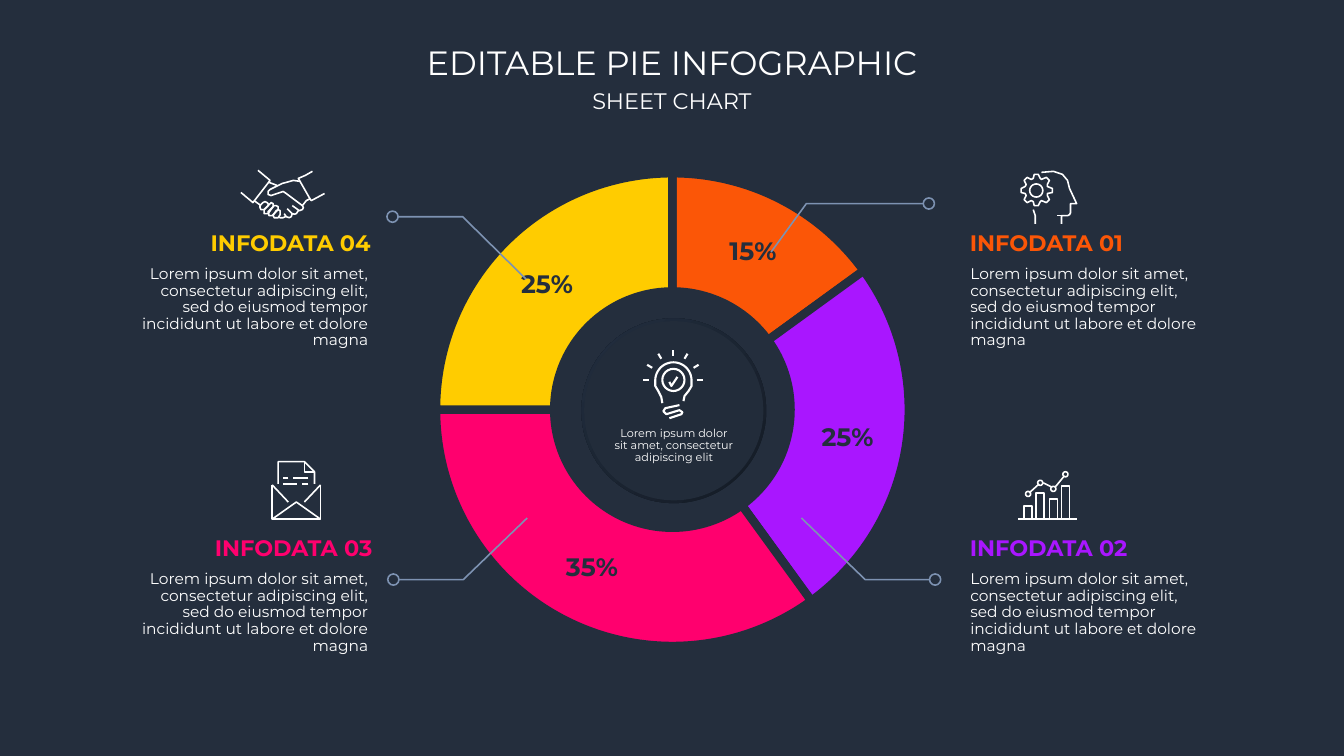
from math import cos, radians, sin

from lxml.etree import SubElement
from pptx import Presentation
from pptx.chart.data import CategoryChartData
from pptx.dml.color import RGBColor
from pptx.enum.chart import XL_CHART_TYPE
from pptx.enum.shapes import MSO_SHAPE
from pptx.enum.text import MSO_ANCHOR, MSO_AUTO_SIZE, PP_ALIGN
from pptx.oxml.ns import qn
from pptx.util import Pt


class Theme:
    font = "Montserrat"
    background, white, callout = "242E3D", "FFFFFF", "7D92B2"
    hub, hub_dark, hub_light = "222C3A", "141B25", "222E3F"
    title, subtitle, heading, body, small, percent = 24, 16, 16, 11, 8, 18
    thin, icon_bold, slice_gap = 1.13, 1.5, 6


def arc(cx, cy, radius, start=0, end=360):
    """Points on a circle, in degrees clockwise from the right."""
    steps = 24
    angles = [radians(start + (end - start) * i / steps) for i in range(steps + 1)]
    return [(cx + radius * cos(a), cy + radius * sin(a)) for a in angles]


def closed(*points):
    return [*points, points[0]]


# Icon strokes are drawn on a grid of ICON_UNIT points.
ICON_UNIT = 0.72
BULB = [
    [(19, 53), (18, 47), (15, 41), (12, 36), *arc(30, 30.5, 18, 180, 360),
     (48, 36), (45, 41), (41, 46), (40, 51)],
    arc(30, 30, 11),
    [(26, 32), (28, 36), (34, 27)],
    [(30, 6), (30, 0)], [(18, 9), (15, 4)], [(4, 15), (9, 18)], [(0, 30), (6, 30)],
    [(44, 4), (41, 9)], [(55, 15), (50, 18)], [(53, 30), (59, 30)],
    [(36, 55), (22, 58), (20, 61), (23, 64), (36, 60), (39, 62), (38, 64), (26, 68)],
]
HEAD = [
    [(20, 6), (32, 5), (41, 8), (46, 14), (48, 22), (55, 37), (49, 37), (49, 46),
     (48, 48), (46, 49), (40, 49), (40, 57)],
    [(14, 57), (14, 49), (12, 43)],
    closed((31, 26), (31, 22), (26, 20), (26, 18), (28, 14), (25, 11), (20, 13), (19, 12),
           (17, 8), (13, 8), (12, 12), (10, 13), (6, 11), (3, 14), (5, 18), (4, 20),
           (0, 22), (0, 26), (4, 27), (5, 29), (3, 33), (6, 36), (10, 34), (12, 35),
           (13, 39), (17, 39), (19, 35), (20, 34), (25, 36), (28, 33), (26, 29), (26, 27)),
    arc(15, 24, 6.5),
    [(40, 49), (36, 49)],
]
GROWTH = [
    [(0, 47), (58, 47)],
    *[closed((x, top), (x, 47), (x + 8, 47), (x + 8, top))
      for x, top in [(6, 34), (18, 21), (31, 27), (43, 14)]],
    *[arc(x, y, 2.5) for x, y in [(10, 22), (22, 11), (35, 17), (47, 2.5)]],
    [(11, 21), (21, 12)], [(25, 11), (33, 15)], [(37, 15), (46, 4)],
]
LETTER = [
    [(48, 23), (48, 57), (0, 57), (0, 23)],
    [(48, 57), (24, 40), (0, 57)],
    [(48, 23), (32, 40)], [(0, 23), (16, 40)],
    [(42, 22), (42, 10), (32, 0), (6, 0), (6, 22)],
    [(32, 0), (32, 10), (42, 10)],
    [(16, 16), (11, 16)], [(36, 16), (21, 16)], [(11, 22), (25, 22)], [(36, 22), (30, 22)],
]
HANDSHAKE = [
    closed((22, 39), (20, 39), (19, 37), (19, 35), (22, 32), (24, 31), (26, 32), (27, 33),
           (27, 35), (23, 39)),
    [(51, 35), (58, 40), (61, 39), (62, 37), (61, 35)],
    [(46, 38), (51, 43), (53, 43.5), (55, 43), (57, 40), (57, 39)],
    [(43, 43), (45, 46), (48, 47), (50, 46), (51, 43)],
    [(37, 46), (39, 47), (42, 47), (44, 46), (45, 45)],
    closed((27, 43), (32, 36), (32, 33), (30, 32), (29, 33), (23, 39), (23, 43), (25, 43)),
    closed((31, 45), (37, 39), (37, 36), (35, 35), (33, 35), (27, 41), (28, 45), (30, 45)),
    closed((39, 44), (39, 40), (37, 39), (35, 40), (33, 43), (32, 45), (33, 47), (35, 47),
           (37, 47)),
    [(71, 1), (64, 5), (57, 8), (69, 29), (70, 30), (83, 23)],
    [(59, 11), (52, 10), (45, 12), (41, 13), (29, 19), (27, 21), (27, 24), (30, 25),
     (39, 22), (42, 21), (45, 23), (61, 35), (65, 30), (69, 28)],
    [(0, 22), (12, 32), (29, 10), (17, 0)],
    [(13, 30), (20, 35)], [(36, 15), (28, 12)],
]

TITLE, SUBTITLE = "EDITABLE PIE INFOGRAPHIC", "SHEET CHART"
HUB_TEXT = "Lorem ipsum dolor sit amet, consectetur adipiscing elit"
BODY = HUB_TEXT + ", sed do eiusmod tempor incididunt ut labore et dolore magna"
# heading, share, colour, side (1 right, -1 left), row, heading left, icon, icon corner, callout
TOPICS = [
    ("INFODATA 01", 0.15, "FB5607", 1, 0, 692.8, HEAD, (729.4, 118.8),
     [(550.8, 180), (576, 145.4), (659.5, 145.4)]),
    ("INFODATA 02", 0.25, "A916FF", 1, 1, 692.8, GROWTH, (727.2, 337),
     [(572.4, 370), (618, 414), (664, 414)]),
    ("INFODATA 03", 0.35, "FF006E", -1, 1, 153.5, LETTER, (194.4, 329.8),
     [(376.6, 370), (331, 414), (285, 414)]),
    ("INFODATA 04", 0.25, "FFCC00", -1, 0, 150.5, HANDSHAKE, (172.1, 121.7),
     [(375.8, 199.4), (330.5, 154.8), (284.4, 154.8)]),
]
HEADING_TOPS, BODY_TOPS = (164, 381.6), (186.5, 404.6)
BODY_LEFTS = {1: 686, -1: 85.9}
CENTER_X = 480
DOT = 8


def rgb(color):
    return RGBColor.from_string(color)


def set_font(font, size, color, bold=False):
    font.name, font.size, font.bold = Theme.font, Pt(size), bold
    font.color.rgb = rgb(color)


def add_text(parent, words, box, size, color, align=PP_ALIGN.LEFT, bold=False,
             wrap=True, inset=True, spacing=None):
    frame = parent.add_textbox(*map(Pt, box)).text_frame
    frame.word_wrap = wrap
    frame.auto_size = MSO_AUTO_SIZE.NONE if wrap else MSO_AUTO_SIZE.SHAPE_TO_FIT_TEXT
    frame.vertical_anchor = MSO_ANCHOR.TOP
    if not inset:
        frame.margin_left = frame.margin_right = frame.margin_top = frame.margin_bottom = 0
    paragraph = frame.paragraphs[0]
    paragraph.alignment, paragraph.line_spacing = align, spacing
    run = paragraph.add_run()
    run.text = words
    set_font(run.font, size, color, bold)


def add_strokes(parent, strokes, color, width, corner=(0, 0), unit=1):
    """Draw unfilled polylines as one freeform."""
    placed = [[(Pt(corner[0] + x * unit), Pt(corner[1] + y * unit)) for x, y in stroke]
              for stroke in strokes]
    builder = parent.build_freeform(*placed[0][0])
    for i, points in enumerate(placed):
        if i:
            builder.move_to(*points[0])
        builder.add_line_segments(points[1:], close=points[0] == points[-1])
    outline = builder.convert_to_shape()
    outline.shadow.inherit = False
    outline.fill.background()
    outline.line.color.rgb = rgb(color)
    outline.line.width = Pt(width)


def add_circle(parent, cx, cy, diameter):
    corner = cx - diameter / 2, cy - diameter / 2
    circle = parent.add_shape(MSO_SHAPE.OVAL, *map(Pt, (*corner, diameter, diameter)))
    circle.shadow.inherit = False
    circle.fill.background()
    circle.line.fill.background()
    return circle


def add_doughnut(parent):
    shares = CategoryChartData(number_format="0%")
    shares.categories = [str(i + 1) for i in range(len(TOPICS))]
    shares.add_series("Series 1", [topic[1] for topic in TOPICS])
    chart = parent.add_chart(XL_CHART_TYPE.DOUGHNUT, *map(Pt, (211, 113, 538.6, 359.3)),
                             shares).chart
    chart.has_legend = chart.has_title = False
    set_font(chart.font, 10, Theme.white)
    plot = chart.plots[0]
    plot.vary_by_categories = True
    plot._element.find(qn("c:holeSize")).set("val", "41")
    for i, topic in enumerate(TOPICS):
        ring_slice = plot.series[0].points[i].format
        ring_slice.fill.solid()
        ring_slice.fill.fore_color.rgb = rgb(topic[2])
        ring_slice.line.color.rgb = rgb(Theme.background)
        ring_slice.line.width = Pt(Theme.slice_gap)
    labels = plot.series[0].data_labels
    labels.show_value, labels.show_percentage = True, False
    labels.number_format, labels.number_format_is_linked = "0%", False
    set_font(labels.font, Theme.percent, Theme.background, True)
    area = chart._chartSpace.chart.plotArea
    layout = area.find(qn("c:layout"))
    if layout is None:
        layout = area.makeelement(qn("c:layout"), {})
        area.insert(0, layout)
    manual = SubElement(layout, qn("c:manualLayout"))
    for tag, value in [("layoutTarget", "inner"), ("xMode", "edge"), ("yMode", "edge"),
                       ("x", "0.18"), ("y", "0.03"), ("w", "0.64"), ("h", "0.94")]:
        SubElement(manual, qn(f"c:{tag}")).set("val", value)


def add_hub(parent):
    rim = add_circle(parent, 481.3, 293.4, 132)
    rim.fill.gradient()
    rim.fill.gradient_angle = 135
    for stop, color in zip(rim.fill.gradient_stops, (Theme.hub_dark, Theme.hub_light)):
        stop.color.rgb = rgb(color)
    disc = add_circle(parent, 481.3, 293.4, 128)
    disc.fill.solid()
    disc.fill.fore_color.rgb = rgb(Theme.hub)
    add_strokes(parent, BULB, Theme.white, Theme.icon_bold, (459.4, 249.8), ICON_UNIT)
    add_text(parent, HUB_TEXT, (430.5, 302, 102, 36), Theme.small, Theme.white,
             PP_ALIGN.CENTER, spacing=0.9)


def add_callout(parent, route, side):
    add_strokes(parent, [route], Theme.callout, Theme.thin)
    end_x, end_y = route[-1]
    dot = add_circle(parent, end_x + side * DOT / 2, end_y, DOT)
    dot.line.color.rgb = rgb(Theme.callout)
    dot.line.width = Pt(Theme.thin)


def main():
    deck = Presentation()
    deck.slide_width, deck.slide_height = Pt(960), Pt(540)
    slide = deck.slides.add_slide(deck.slide_layouts[6])
    slide.background.fill.solid()
    slide.background.fill.fore_color.rgb = rgb(Theme.background)
    shapes = slide.shapes
    add_doughnut(shapes)
    add_hub(shapes.add_group_shape().shapes)
    for heading, _, color, side, row, left, icon, corner, route in TOPICS:
        add_callout(shapes.add_group_shape().shapes, route, side)
        add_text(shapes, heading, (left, HEADING_TOPS[row], 115.5, 19.4), Theme.heading, color,
                 bold=True, wrap=False, inset=False)
        add_strokes(shapes, icon, Theme.white, Theme.thin, corner, ICON_UNIT)
        add_text(shapes, BODY, (BODY_LEFTS[side], BODY_TOPS[row], 184.3, 48), Theme.body,
                 Theme.white, PP_ALIGN.LEFT if side > 0 else PP_ALIGN.RIGHT, spacing=0.9)
    for words, top, width, height, size in [(TITLE, 26.4, 376, 36, Theme.title),
                                            (SUBTITLE, 58.7, 132, 26.6, Theme.subtitle)]:
        add_text(shapes, words, (CENTER_X - width / 2, top, width, height), size, Theme.white,
                 PP_ALIGN.CENTER, wrap=False)
    deck.save("out.pptx")


if __name__ == "__main__":
    main()
